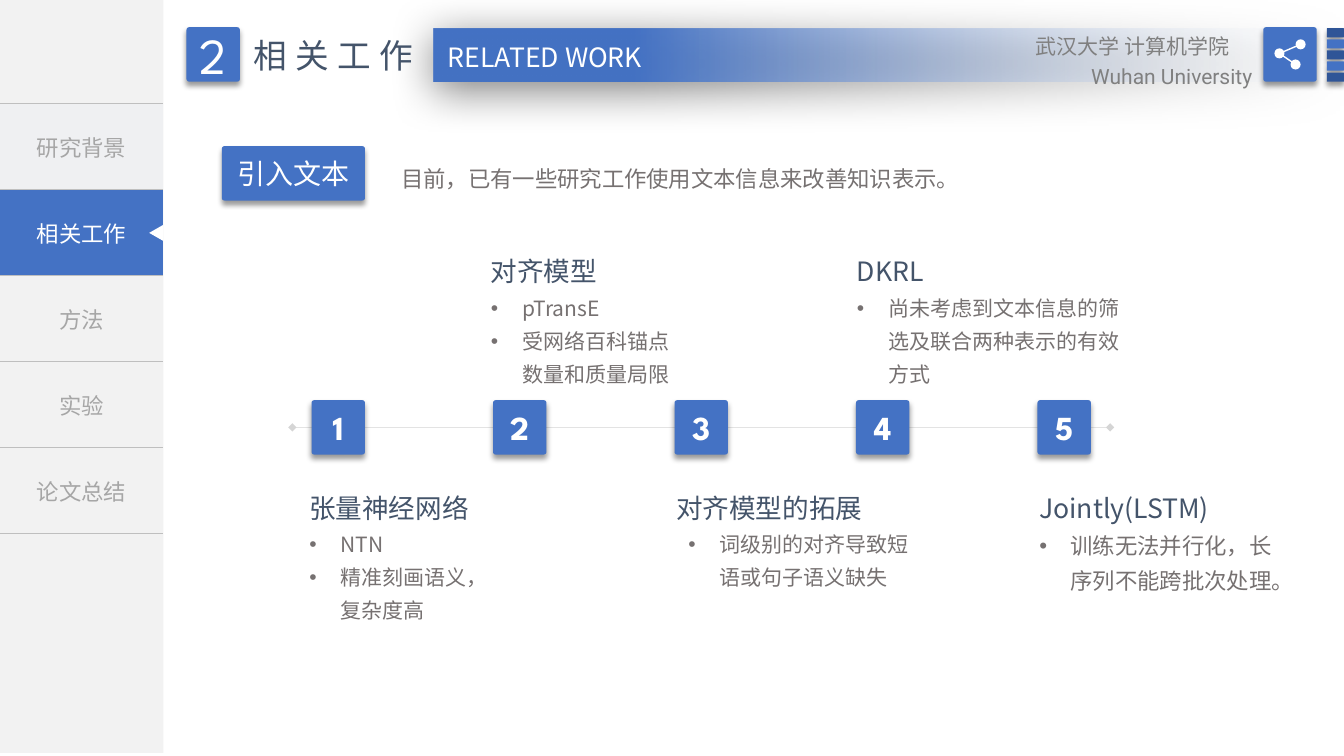
from lxml import etree
from pptx import Presentation
from pptx.dml.color import RGBColor
from pptx.enum.shapes import MSO_CONNECTOR, MSO_SHAPE
from pptx.enum.text import MSO_ANCHOR, PP_ALIGN
from pptx.oxml import parse_xml
from pptx.oxml.ns import qn
from pptx.util import Inches, Pt

RECT, ROUND, OVAL, TRIANGLE = (MSO_SHAPE.RECTANGLE, MSO_SHAPE.ROUNDED_RECTANGLE,
                               MSO_SHAPE.OVAL, MSO_SHAPE.ISOSCELES_TRIANGLE)
STRAIGHT = MSO_CONNECTOR.STRAIGHT
LEFT, CENTER, RIGHT = PP_ALIGN.LEFT, PP_ALIGN.CENTER, PP_ALIGN.RIGHT
TOP, MIDDLE = MSO_ANCHOR.TOP, MSO_ANCHOR.MIDDLE

SANS, SPARTAN, ROBOTO = "Noto Sans CJK SC", "League Spartan", "Roboto"
BLUE, NAVY, SLATE, WHITE = "4472C4", "2F5597", "44546A", "FFFFFF"
PANEL, RULE, MUTED, GREY, BODY = "F2F2F2", "BFBFBF", "A6A6A6", "808080", "767171"

# Content: tabs are (label, fill, text colour, font)
TABS = [
    ("研究背景", "EFF0F2", MUTED, SANS),
    ("相关工作", BLUE, WHITE, SPARTAN),
    ("方法", PANEL, MUTED, SANS),
    ("实验", PANEL, MUTED, SANS),
    ("论文总结", PANEL, MUTED, SPARTAN),
]
SECTION_NUMBER, SECTION, SECTION_EN = "2", "相关工作", "RELATED WORK"
SCHOOL, UNIVERSITY = "武汉大学 计算机学院", "Wuhan University"
TOPIC = "引入文本"
SUMMARY = "目前，已有一些研究工作使用文本信息来改善知识表示。"

# Milestones: (heading, left, width), (points, left, width, size)
MILESTONES = [
    (("张量神经网络", 2.97, 1.8), (["NTN", "精准刻画语义，复杂度高"], 2.97, 2.08, 15)),
    (("对齐模型", 4.77, 1.27), (["pTransE", "受网络百科锚点数量和质量局限"], 4.77, 2.08, 15)),
    (("对齐模型的拓展", 6.61, 2.07), (["词级别的对齐导致短语或句子语义缺失"], 6.73, 2.5, 15)),
    (("DKRL", 8.4, 0.88), (["尚未考虑到文本信息的筛选及联合两种表示的有效方式"], 8.4, 2.83, 15)),
    (("Jointly(LSTM)", 10.21, 1.91), (["训练无法并行化，长序列不能跨批次处理。"], 10.21, 2.68, 16)),
]
SHARE_NODES = [(12.69, 0.53), (12.9, 0.44), (12.85, 0.64)]  # hub first

prs = Presentation()
prs.slide_width, prs.slide_height = Inches(13.33), Inches(7.5)
slide = prs.slides.add_slide(prs.slide_layouts[6])
shapes = slide.shapes


def rgb(value):
    return RGBColor.from_string(value)


def drawing(xml):
    """Parse one DrawingML element."""
    head, tail = xml.split(" ", 1)
    return parse_xml(
        f'{head} xmlns:a="http://schemas.openxmlformats.org/drawingml/2006/main" {tail}')


def write(frame, lines, size, color, font=SANS, align=LEFT, spacing=None,
          bold=False, bullets=False):
    frame.text = "\n".join(lines)
    for paragraph in frame.paragraphs:
        paragraph.alignment = align
        if spacing:
            paragraph.line_spacing = spacing
        if bullets:
            props = paragraph._p.get_or_add_pPr()
            props.set("marL", str(Inches(0.31)))
            props.set("indent", str(-Inches(0.31)))
            props.append(drawing('<a:buFont typeface="Arial"/>'))
            props.append(drawing('<a:buChar char="•"/>'))
        for run in paragraph.runs:
            run.font.size, run.font.bold = Pt(size), bold
            run.font.name, run.font.color.rgb = font, rgb(color)
            etree.SubElement(run._r.rPr, qn("a:ea")).set("typeface", SANS)


def text(lines, box, size, color, wrap=True, **style):
    frame = shapes.add_textbox(*map(Inches, box)).text_frame
    frame.word_wrap = wrap
    frame.vertical_anchor = TOP
    write(frame, lines, size, color, **style)
    return frame


def block(kind, box, color, shadow=None):
    """Filled shape; shadow is (opacity %, blur pt, distance pt, angle)."""
    shape = shapes.add_shape(kind, *map(Inches, box))
    shape.fill.solid()
    shape.fill.fore_color.rgb = rgb(color)
    shape.line.fill.background()
    shape.shadow.inherit = False
    if shadow:
        alpha, blur, distance, angle = shadow
        shape._element.spPr.find(qn("a:effectLst")).append(drawing(
            f'<a:outerShdw blurRad="{Pt(blur)}" dist="{Pt(distance)}" dir="{angle * 60000}" '
            f'algn="t" rotWithShape="0"><a:srgbClr val="000000">'
            f'<a:alpha val="{alpha * 1000}"/></a:srgbClr></a:outerShdw>'))
    return shape


def tile(box, label=None, size=24, color=BLUE, bold=False):
    shape = block(ROUND, box, color, (40, 4, 3, 90))
    shape.adjustments[0] = 0.05
    if label:
        shape.text_frame.vertical_anchor = MIDDLE
        write(shape.text_frame, [label], size, WHITE, SPARTAN, CENTER, bold=bold)


def line(start, end, color, width):
    connector = shapes.add_connector(STRAIGHT, *map(Inches, start + end))
    connector.line.color.rgb = rgb(color)
    connector.line.width = Pt(width)
    etree.SubElement(connector._element.spPr, qn("a:effectLst"))
    return connector.line._get_or_add_ln()


# Sidebar with section tabs
block(RECT, (0, 0, 1.62, 7.47), PANEL)
tabs = shapes.add_table(len(TABS), 1, 0, Inches(1.03), Inches(1.62), Inches(4.26)).table
tabs.first_row = tabs.horz_banding = False
for row, (label, fill, color, font) in enumerate(TABS):
    cell = tabs.cell(row, 0)
    cell.vertical_anchor = MIDDLE
    write(cell.text_frame, [label], 16, color, font, CENTER)
    cell.fill.solid()
    cell.fill.fore_color.rgb = rgb(fill)
    for place, side in enumerate(("lnL", "lnR", "lnT", "lnB")):
        paint = ("<a:noFill/>" if side in ("lnL", "lnR") else
                 f'<a:solidFill><a:srgbClr val="{RULE}"/></a:solidFill>')
        cell._tc.get_or_add_tcPr().insert(
            place, drawing(f'<a:{side} w="{Pt(1)}">{paint}</a:{side}>'))

# Header band, fading out to the right
band = block(RECT, (4.3, 0.28, 9.03, 0.53), BLUE, (50, 31, 6, 97))
solid = band._element.spPr.find(qn("a:solidFill"))
solid.getparent().replace(solid, drawing(
    '<a:gradFill rotWithShape="1"><a:gsLst>'
    '<a:gs pos="0"><a:srgbClr val="F7FAFD"><a:alpha val="0"/></a:srgbClr></a:gs>'
    f'<a:gs pos="78000"><a:srgbClr val="{BLUE}"/></a:gs></a:gsLst>'
    '<a:lin ang="10800000" scaled="0"/></a:gradFill>'))

# Header titles
tile((1.85, 0.27, 0.53, 0.54), SECTION_NUMBER, 36)
text([SECTION_EN], (4.28, 0.36, 2.25, 0.42), 19, WHITE, wrap=False, align=CENTER)
section = text([SECTION], (2.42, 0.3, 1.88, 0.5), 24, SLATE, wrap=False)
section.paragraphs[0].runs[0]._r.rPr.set("spc", "600")
text([SCHOOL], (9.92, 0.28, 2.37, 0.4), 15, GREY, align=RIGHT)
text([UNIVERSITY], (10.15, 0.58, 2.37, 0.34), 15, GREY, font=ROBOTO, align=RIGHT)

# Edge stripes and share icon
for i in range(5):
    tile((13.16, 0.28 + 0.11 * i, 0.17, 0.09), color=BLUE if i % 2 else NAVY)
tile((12.53, 0.27, 0.53, 0.54))
for node in SHARE_NODES[1:]:
    line(SHARE_NODES[0], node, WHITE, 1)
for x, y in SHARE_NODES:
    block(OVAL, (x - 0.05, y - 0.05, 0.1, 0.1), WHITE)

# Marker on the current tab
block(TRIANGLE, (1.47, 2.24, 0.16, 0.14), WHITE).rotation = 270

# Topic and summary
tile((2.2, 1.45, 1.42, 0.54), TOPIC, 20)
text([SUMMARY], (3.88, 1.51, 9.01, 0.42), 16, BODY, spacing=1.3)

# Timeline axis
axis = line((2.9, 4.24), (11.01, 4.24), GREY, 0.25)
axis.find(".//" + qn("a:srgbClr")).append(drawing('<a:alpha val="33000"/>'))
for end in ("headEnd", "tailEnd"):
    axis.append(drawing(f'<a:{end} type="diamond"/>'))

# Milestones: odd ones below the axis, even ones above
for i, (heading, detail) in enumerate(MILESTONES):
    tile((3.09 + 1.8 * i, 3.97, 0.53, 0.54), str(i + 1), bold=True)
    heading_top, detail_top = (2.38, 2.81) if i % 2 else (4.74, 5.15)
    title, left, width = heading
    text([title], (left, heading_top, width, 0.48), 19, SLATE, wrap=False, spacing=1.3)
    points, left, width, size = detail
    text(points, (left, detail_top, width, 1.09), size, BODY, spacing=1.3, bullets=True)

prs.save("out.pptx")
